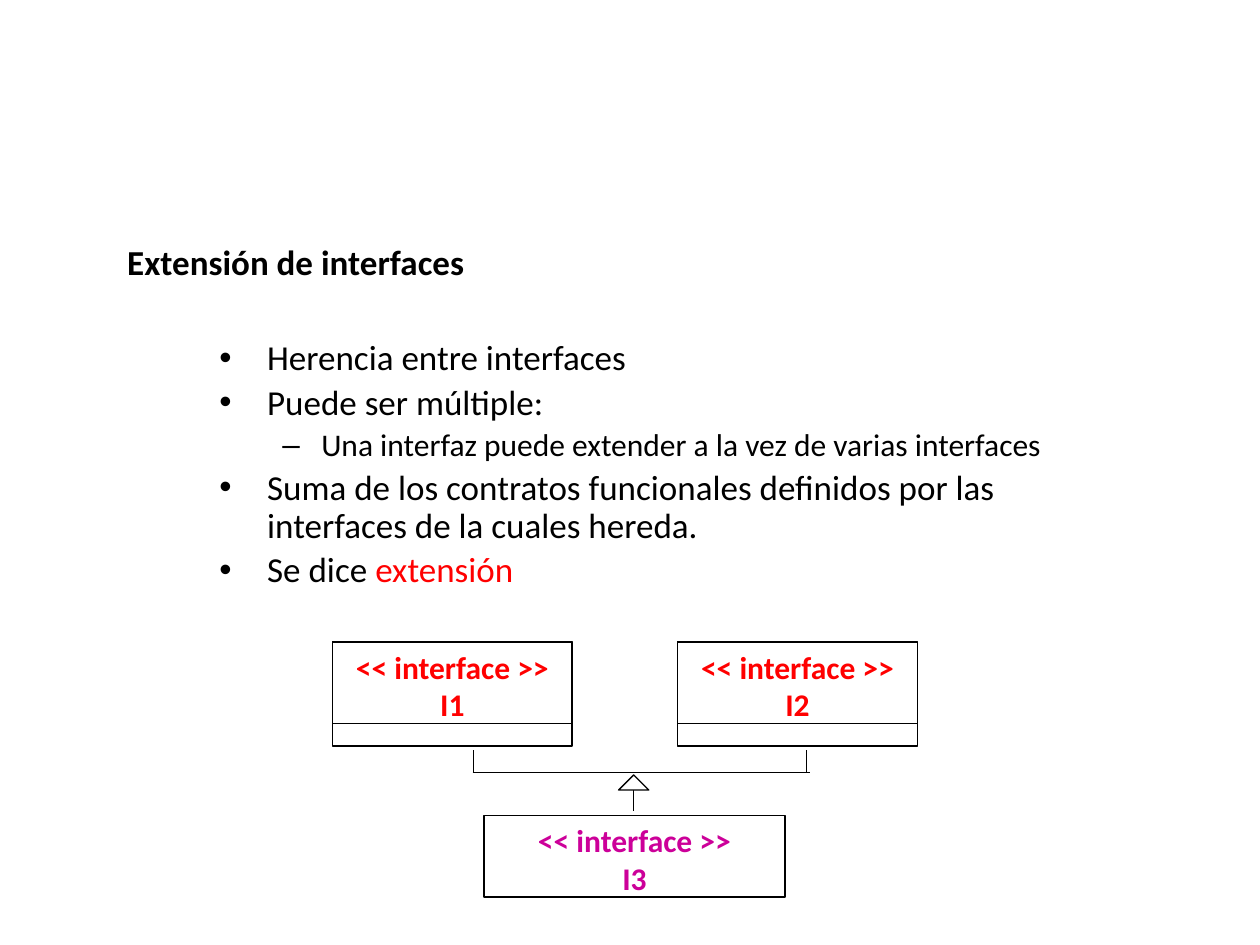
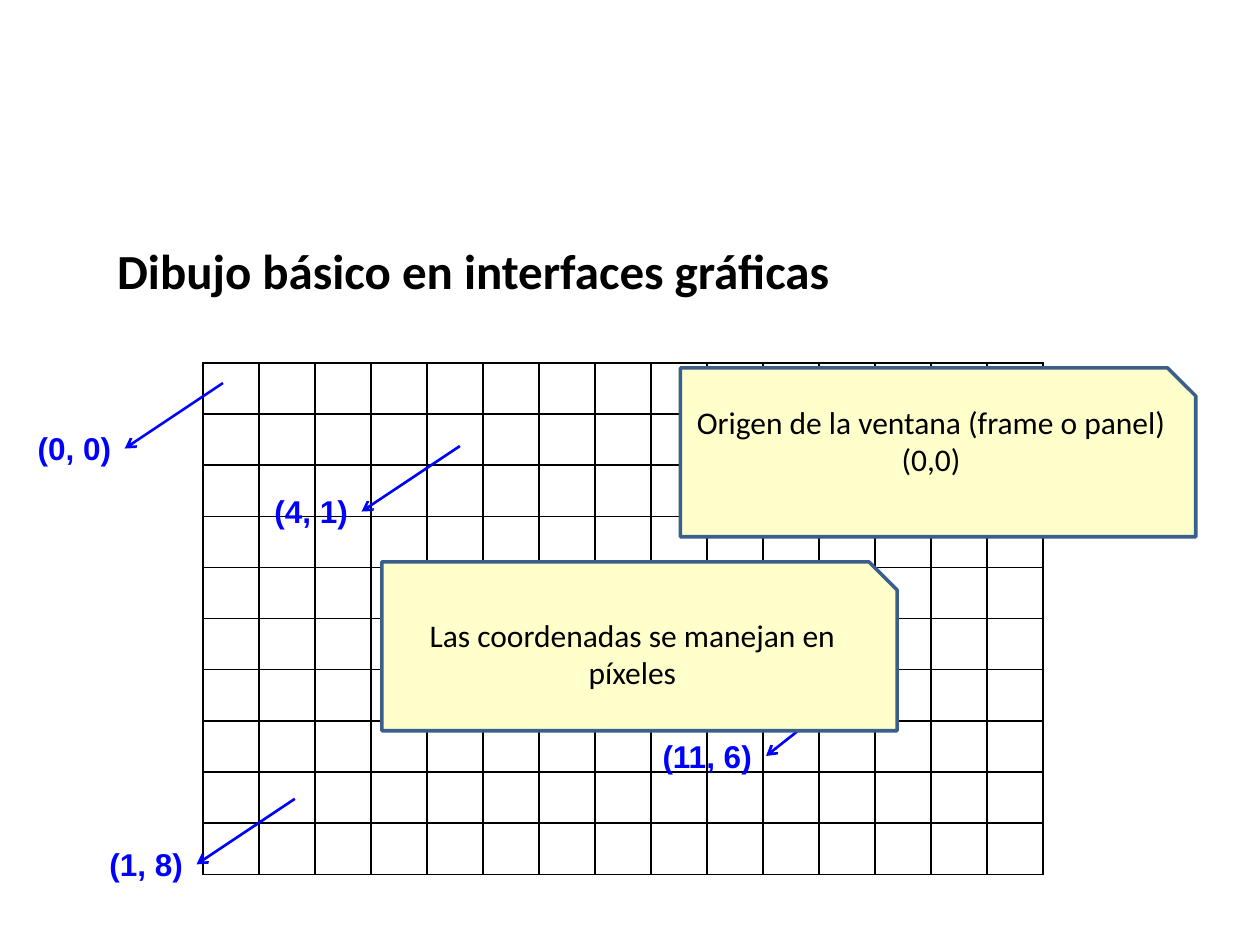
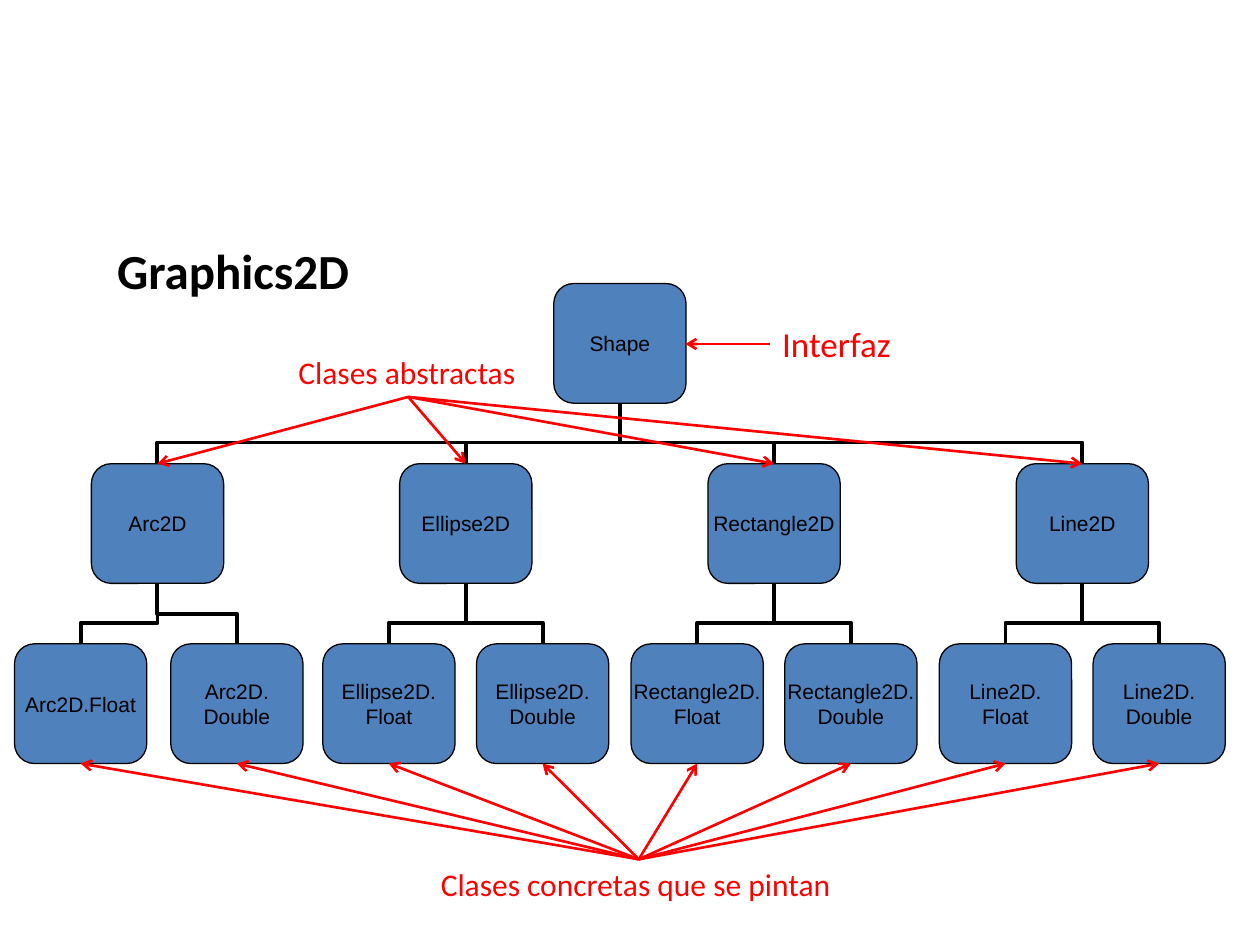
from pptx import Presentation
from pptx.dml.color import RGBColor
from pptx.enum.shapes import MSO_CONNECTOR as Connector, MSO_SHAPE as Shape
from pptx.enum.text import MSO_ANCHOR as Anchor, MSO_AUTO_SIZE as AutoSize, PP_ALIGN as Align
from pptx.oxml.ns import qn
from pptx.util import Inches, Pt
from lxml.etree import SubElement

COLORS = {
    "black": "000000",
    "white": "FFFFFF",
    "red": "FF0000",
    "magenta": "CC0099",
    "blue": "0000FF",
    "note": "FFFFCC",
    "note_edge": "3A5F8C",
    "node": "4F81BD",
}
TITLE_LAYOUT = 5
BODY_LAYOUT = 1
NODE_WIDTH, NODE_HEIGHT = 1.05, 0.95
ROOT_X, ROOT_TOP, PARENT_TOP, LEAF_TOP = 4.92, 2.25, 3.68, 5.11
FIRST_PARENT_X, LAST_PARENT_X = 1.25, 8.59


def rgb(name):
    return RGBColor.from_string(COLORS[name])


def set_font(paragraph, size, color="black", name="Calibri", bold=False):
    font = paragraph.font
    font.size, font.name, font.bold = Pt(size), name, bold
    font.color.rgb = rgb(color)


def write_lines(frame, lines, size, color="black", align=Align.CENTER, **style):
    for index, line in enumerate(lines):
        paragraph = frame.paragraphs[0] if index == 0 else frame.add_paragraph()
        paragraph.text = line
        paragraph.alignment = align
        set_font(paragraph, size, color, **style)


def place(shape, left, top, width, height):
    shape.left, shape.top = Inches(left), Inches(top)
    shape.width, shape.height = Inches(width), Inches(height)


def add_titled_slide(presentation, text, box=(0.83, 1.86, 6.3, 0.57), size=28, layout=TITLE_LAYOUT):
    slide = presentation.slides.add_slide(presentation.slide_layouts[layout])
    title = slide.shapes.title
    place(title, *box)
    frame = title.text_frame
    frame.auto_size = AutoSize.SHAPE_TO_FIT_TEXT
    frame.vertical_anchor = Anchor.TOP
    write_lines(frame, [text], size, align=Align.LEFT, bold=True)
    return slide


def add_box(slide, kind, left, top, width, height, fill=None, edge="black", weight=0.75):
    shape = slide.shapes.add_shape(kind, Inches(left), Inches(top), Inches(width), Inches(height))
    shape.shadow.inherit = False
    if fill:
        shape.fill.solid()
        shape.fill.fore_color.rgb = rgb(fill)
    else:
        shape.fill.background()
    shape.line.color.rgb = rgb(edge)
    shape.line.width = Pt(weight)
    return shape


def add_line(slide, start, end, color="black", weight=0.75, arrow=False, kind=Connector.STRAIGHT):
    line = slide.shapes.add_connector(kind, *(Inches(value) for value in (*start, *end)))
    line.line.color.rgb = rgb(color)
    line.line.width = Pt(weight)
    if arrow:
        SubElement(line.line._get_or_add_ln(), qn("a:tailEnd"), type="arrow")
    SubElement(line._element.spPr, qn("a:effectLst"))
    return line


def add_branch(slide, child, parent, bend=0.351):
    child_x, child_y = child
    parent_x, parent_y = parent
    middle_x, middle_y = (child_x + parent_x) / 2, (child_y + parent_y) / 2
    half_width = abs(parent_x - child_x) / 2
    toward_right = parent_x > child_x
    half_height = (child_y - parent_y) / 2 * (1 if toward_right else -1)
    branch = add_line(
        slide,
        (middle_x - half_height, middle_y - half_width),
        (middle_x + half_height, middle_y + half_width),
        weight=2.25,
        kind=Connector.ELBOW,
    )
    properties = branch._element.spPr
    properties.find(qn("a:xfrm")).set("rot", str((270 if toward_right else 90) * 60000))
    adjustments = properties.find(qn("a:prstGeom")).find(qn("a:avLst"))
    SubElement(adjustments, qn("a:gd"), name="adj1", fmla=f"val {round(bend * 100000)}")


def add_label(slide, text, left, top, width, height=0.4, size=18, color="red", **style):
    label = slide.shapes.add_textbox(Inches(left), Inches(top), Inches(width), Inches(height))
    frame = label.text_frame
    frame.word_wrap = False
    frame.auto_size = AutoSize.SHAPE_TO_FIT_TEXT
    write_lines(frame, [text], size, color, Align.LEFT, **style)


def add_interface(slide, name, left, top, width, color, members=False):
    if members:
        add_box(slide, Shape.RECTANGLE, left, top + 0.01, width, 0.82)
    box = add_box(slide, Shape.RECTANGLE, left, top, width, 0.65)
    box.text_frame.vertical_anchor = Anchor.TOP
    write_lines(box.text_frame, ["<< interface >>", name], 18, color, bold=True)


def fill_list(body, items):
    place(body, 1.64, 2.65, 7.01, 2.58)
    frame = body.text_frame
    frame.auto_size = AutoSize.NONE
    for index, (level, runs) in enumerate(items):
        paragraph = frame.paragraphs[0] if index == 0 else frame.add_paragraph()
        paragraph.level = level
        indent, hanging, bullet, size = [(0.38, 0.38, "•", 20), (0.81, 0.31, "–", 18)][level]
        properties = paragraph._p.get_or_add_pPr()
        properties.set("marL", str(Inches(indent)))
        properties.set("indent", str(-Inches(hanging)))
        SubElement(properties, qn("a:buChar"), char=bullet)
        paragraph.line_spacing = 0.9
        paragraph.space_before = Pt(size * 0.2 if index else 0)
        set_font(paragraph, size)
        for text, color in runs:
            run = paragraph.add_run()
            run.text = text
            if color != "black":
                run.font.color.rgb = rgb(color)


def border_cell(cell):
    properties = cell._tc.get_or_add_tcPr()
    for side in ("lnL", "lnR", "lnT", "lnB"):
        border = SubElement(properties, qn(f"a:{side}"), w=str(Pt(1)))
        fill = SubElement(border, qn("a:solidFill"))
        SubElement(fill, qn("a:srgbClr"), val=COLORS["black"])
    cell.fill.background()


def add_pixel_grid(slide, rows, columns):
    frame = slide.shapes.add_table(rows, columns, Inches(1.61), Inches(2.88), Inches(6.67), Inches(4.06))
    table = frame.table
    table.first_row = table.horz_banding = False
    for cell in table.iter_cells():
        cell.margin_top = cell.margin_bottom = 0
        border_cell(cell)


def add_coordinate(slide, text, left, top, width, reach):
    add_label(slide, text, left, top, width, color="blue", name="Arial", bold=True)
    tip_x, tip_y = left + width, top + 0.2
    add_line(slide, (tip_x + reach, tip_y - 0.52), (tip_x, tip_y), "blue", 1.5, arrow=True)


def add_note(slide, lines, left, top, bottom_margin=0.05):
    note = add_box(slide, Shape.SNIP_1_RECTANGLE, left, top, 4.09, 1.34, "note", "note_edge", 2)
    frame = note.text_frame
    frame.word_wrap = True
    frame.vertical_anchor = Anchor.MIDDLE
    frame.margin_bottom = Inches(bottom_margin)
    write_lines(frame, lines, 18)


def add_node(slide, lines, center, top):
    node = add_box(slide, Shape.ROUNDED_RECTANGLE, center - NODE_WIDTH / 2, top, NODE_WIDTH, NODE_HEIGHT, "node")
    frame = node.text_frame
    frame.word_wrap = False
    frame.vertical_anchor = Anchor.MIDDLE
    frame.margin_left = frame.margin_right = frame.margin_top = frame.margin_bottom = 0
    write_lines(frame, lines, 12, name="Arial")


def build_extension_slide(presentation):
    slide = add_titled_slide(presentation, "Extensión de interfaces", (0.91, 1.86, 8.4, 0.44), 20, BODY_LAYOUT)
    add_interface(slide, "I1", 2.64, 5.09, 1.9, "red", members=True)
    add_interface(slide, "I3", 3.84, 6.47, 2.39, "magenta")
    add_line(slide, (5.03, 6.25), (5.03, 6.44))
    add_box(slide, Shape.ISOSCELES_TRIANGLE, 4.91, 6.15, 0.24, 0.12, "white")
    add_interface(slide, "I2", 5.38, 5.09, 1.9, "red", members=True)
    add_line(slide, (3.75, 6.13), (6.43, 6.13))
    for x in (3.76, 6.4):
        add_line(slide, (x, 6.13), (x, 5.95))
    fill_list(slide.placeholders[1], [
        (0, [("Herencia entre interfaces", "black")]),
        (0, [("Puede ser múltiple:", "black")]),
        (1, [("Una interfaz puede extender a la vez de varias interfaces", "black")]),
        (0, [("Suma de los contratos funcionales definidos por las interfaces de la cuales hereda.", "black")]),
        (0, [("Se dice ", "black"), ("extensión", "red")]),
    ])


def build_drawing_slide(presentation):
    slide = add_titled_slide(presentation, "Dibujo básico en interfaces gráficas")
    add_pixel_grid(slide, rows=10, columns=15)
    for coordinate in (
        ("(0, 0)", 0.2, 3.36, 0.79, 0.78),
        ("(4, 1)", 2.08, 3.86, 0.79, 0.78),
        ("(1, 8)", 0.77, 6.66, 0.79, 0.78),
        ("(11, 6)", 5.16, 5.8, 0.92, 0.66),
    ):
        add_coordinate(slide, *coordinate)
    add_note(slide, ["Origen de la ventana (frame o panel)", "(0,0)"], 5.4, 2.92, bottom_margin=0.35)
    add_note(slide, ["Las coordenadas se manejan en píxeles"], 3.03, 4.46)


def build_hierarchy_slide(presentation):
    slide = add_titled_slide(presentation, "Graphics2D")
    names = ["Arc2D", "Ellipse2D", "Rectangle2D", "Line2D"]
    step = (LAST_PARENT_X - FIRST_PARENT_X) / (len(names) - 1)
    parents = [(name, FIRST_PARENT_X + index * step) for index, name in enumerate(names)]
    leaves = []
    for name, x in parents:
        is_arc = name == "Arc2D"
        float_lines = ["Arc2D.Float"] if is_arc else [f"{name}.", "Float"]
        leaves.append((float_lines, x - 0.61, x, 0.351))
        leaves.append(([f"{name}.", "Double"], x + (0.63 if is_arc else 0.61), x, 0.5 if is_arc else 0.351))

    for lines, x, parent_x, bend in leaves:
        add_branch(slide, (x, LEAF_TOP), (parent_x, PARENT_TOP + NODE_HEIGHT), bend)
    for name, x in parents:
        add_branch(slide, (x, PARENT_TOP), (ROOT_X, ROOT_TOP + NODE_HEIGHT))
    add_node(slide, ["Shape"], ROOT_X, ROOT_TOP)
    for name, x in parents:
        add_node(slide, [name], x, PARENT_TOP)
    for lines, x, parent_x, bend in leaves:
        add_node(slide, lines, x, LEAF_TOP)

    add_label(slide, "Interfaz", 6.11, 2.51, 1.07, 0.44, size=20)
    add_line(slide, (6.11, 2.73), (5.44, 2.73), "red", 1.5, arrow=True)
    add_label(slide, "Clases abstractas", 2.27, 2.75, 1.94)
    for name, x in parents:
        add_line(slide, (3.24, 3.15), (x, PARENT_TOP), "red", 1.5, arrow=True)
    add_label(slide, "Clases concretas que se pintan", 3.4, 6.82, 3.33)
    for lines, x, parent_x, bend in leaves:
        add_line(slide, (5.07, 6.82), (x, LEAF_TOP + NODE_HEIGHT), "red", 1.5, arrow=True)


def main():
    presentation = Presentation()
    presentation.slide_width, presentation.slide_height = Inches(10), Inches(7.5)
    build_extension_slide(presentation)
    build_drawing_slide(presentation)
    build_hierarchy_slide(presentation)
    presentation.save("out.pptx")


if __name__ == "__main__":
    main()
